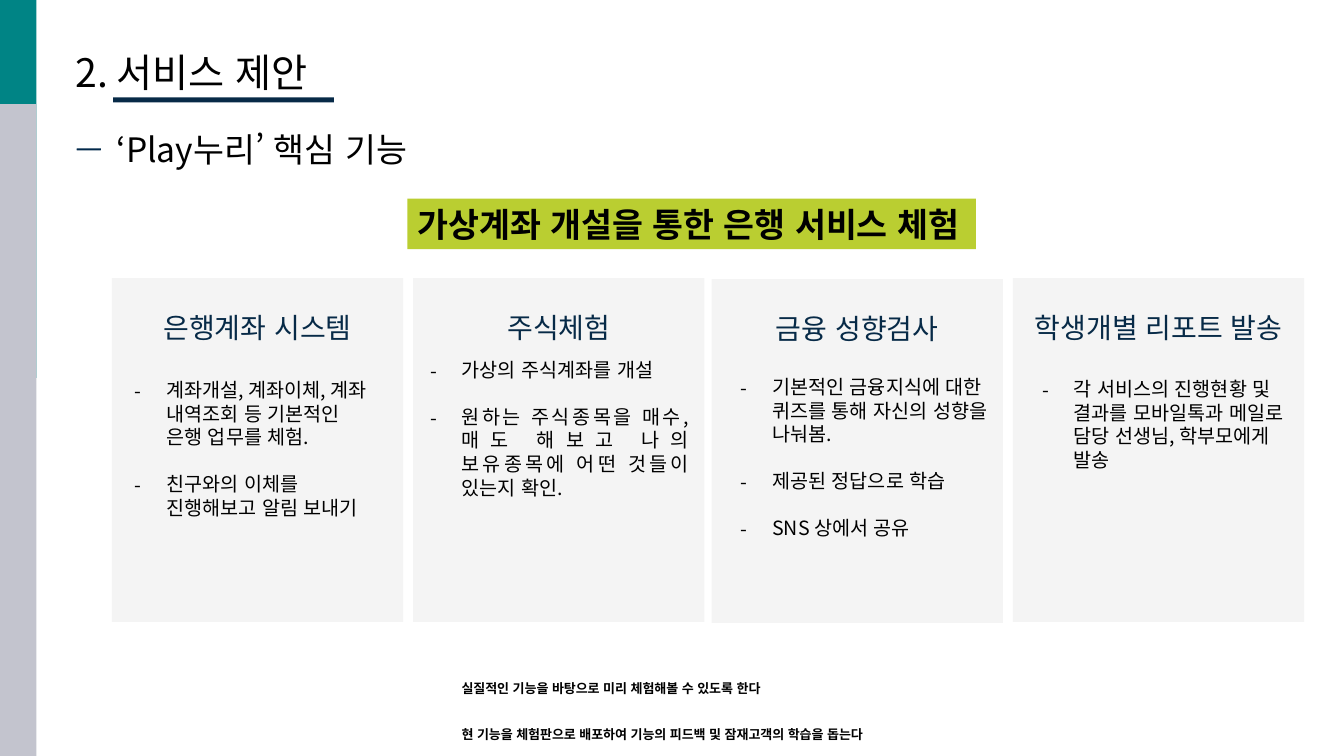
from pptx import Presentation
from pptx.dml.color import RGBColor
from pptx.enum.lang import MSO_LANGUAGE_ID
from pptx.enum.shapes import MSO_SHAPE
from pptx.enum.text import MSO_ANCHOR, MSO_AUTO_SIZE, PP_ALIGN
from pptx.oxml.ns import qn
from pptx.util import Pt
from lxml import etree

RECTANGLE, ROUNDED = MSO_SHAPE.RECTANGLE, MSO_SHAPE.ROUNDED_RECTANGLE
TOP, NO_FIT = MSO_ANCHOR.TOP, MSO_AUTO_SIZE.NONE
LEFT, CENTER, JUSTIFY = PP_ALIGN.LEFT, PP_ALIGN.CENTER, PP_ALIGN.JUSTIFY
KOREAN = MSO_LANGUAGE_ID.KOREAN
NAVY = RGBColor(0x07, 0x2A, 0x47)
DASH_NAVY = RGBColor(0x01, 0x28, 0x4A)
TEAL = RGBColor(0x00, 0x84, 0x85)
SILVER = RGBColor(0xC3, 0xC4, 0xCE)
PALE = RGBColor(0xF4, 0xF4, 0xF4)
LIME = RGBColor(0xBA, 0xCE, 0x31)
BLACK = RGBColor(0, 0, 0)
FONT = "Noto Sans CJK KR"
CARD_WIDTH, CARD_HEIGHT = 208, 245.5
INSET = 7.2

CARDS = [
    ((80, 198.7), "은행계좌 시스템", (9.3, 67.7, 186, 109), LEFT,
     ["계좌개설, 계좌이체, 계좌 내역조회 등 기본적인 은행 업무를 체험.",
      "친구와의 이체를 진행해보고 알림 보내기"]),
    ((295.2, 198.7), "주식체험", (5, 53.3, 199, 126), JUSTIFY,
     ["가상의 주식계좌를 개설",
      "원하는 주식종목을 매수,매도 해보고 나의 보유종목에 어떤 것들이 있는지 확인."]),
    ((508.3, 199.4), "금융 성향검사", (13.7, 64.9, 194.4, 126), LEFT,
     ["기본적인 금융지식에 대한 퀴즈를 통해 자신의 성향을 나눠봄.",
      "제공된 정답으로 학습", "SNS 상에서 공유"]),
    ((723.6, 198.7), "학생개별 리포트 발송", (13.7, 67, 194.4, 94), LEFT,
     ["각 서비스의 진행현황 및 결과를 모바일톡과 메일로 담당 선생님, 학부모에게 발송"]),
]
FOOTNOTES = ["실질적인 기능을 바탕으로 미리 체험해볼 수 있도록 한다",
             "현 기능을 체험판으로 배포하여 기능의 피드백 및 잠재고객의 학습을 돕는다"]


def add_block(slide, box, color, kind=RECTANGLE):
    """Add a flat filled shape without outline or shadow."""
    block = slide.shapes.add_shape(kind, *map(Pt, box))
    block.fill.solid()
    block.fill.fore_color.rgb = color
    block.line.fill.background()
    block.shadow.inherit = False
    return block


def prepare_frame(shape, inset=INSET):
    """Set wrapping, anchor and side insets of a shape's text."""
    frame = shape.text_frame
    frame.word_wrap = True
    frame.auto_size = NO_FIT
    frame.vertical_anchor = TOP
    frame.margin_left = frame.margin_right = Pt(inset)
    frame.margin_top = frame.margin_bottom = Pt(inset / 2)
    return frame


def write_paragraphs(frame, texts, size, color=BLACK, bold=False, align=LEFT, spacing=None):
    """Write one single-run paragraph per text and return the paragraphs."""
    for index, text in enumerate(texts):
        para = frame.paragraphs[0] if index == 0 else frame.add_paragraph()
        para.alignment = align
        para.space_before = Pt(0)
        if spacing:
            para.line_spacing = spacing
        span = para.add_run()
        span.text = text
        span.font.name = FONT
        span.font.size = Pt(size)
        span.font.bold = bold
        span.font.language_id = KOREAN
        span.font.color.rgb = color
        latin = span.font._element.find(qn("a:latin"))
        east_asian = etree.Element(qn("a:ea"), typeface=FONT)
        latin.addnext(east_asian)
    return frame.paragraphs


def add_text(slide, box, texts, size, inset=INSET, **style):
    """Add a text box and return its paragraphs."""
    shape = slide.shapes.add_textbox(*map(Pt, box))
    return write_paragraphs(prepare_frame(shape, inset), texts, size, **style)


def add_sidebar(slide, box):
    """Draw the teal and silver strip at the slide edge."""
    left, top, width, height = box
    add_block(slide, (left, top, width, height / 2), TEAL)
    add_block(slide, (left, top + 74.4, width, height - 74.4), SILVER)


def add_header(slide, box):
    """Place the title, its underline and the dashed subtitle."""
    left, top, width, height = box
    title = slide.shapes.title
    title.left, title.top, title.width, title.height = map(Pt, (left, top, width, 34.6))
    write_paragraphs(prepare_frame(title), ["2. 서비스 제안"], 28, spacing=0.9)
    add_block(slide, (left + 34, top + 35, 157.7, 3.6), NAVY)
    add_block(slide, (left + 8, top + 71.4, 17.3, 1.4), DASH_NAVY, ROUNDED)
    add_text(slide, (left + 29.5, top + 56.9, 267.8, height - 56.9),
             ["‘Play누리’ 핵심 기능"], 24, spacing=0.9)


def add_banner(slide, box):
    """Draw the lime headline band."""
    band = add_block(slide, box, LIME)
    write_paragraphs(prepare_frame(band), ["가상계좌 개설을 통한 은행 서비스 체험"], 24, bold=True)


def add_card(slide, box, heading, bullet_box, align, bullets):
    """Draw one feature card with heading and dash bullets."""
    left, top, width, height = box
    add_block(slide, box, PALE)
    add_text(slide, (left + 10.5, top + 23.4, width - 21, 24), [heading], 20,
             inset=0, color=NAVY, align=CENTER)
    shift_x, shift_y, *size = bullet_box
    paras = add_text(slide, (left + shift_x, top + shift_y, *size), bullets, 14, align=align)
    for index, para in enumerate(paras):
        para.space_before = Pt(16.8 if index else 0)
        properties = para._p.get_or_add_pPr()
        properties.set("marL", str(Pt(22.5)))
        properties.set("indent", str(Pt(-22.5)))
        etree.SubElement(properties, qn("a:buFont"), typeface=FONT)
        etree.SubElement(properties, qn("a:buChar"), char="-")


def add_footnotes(slide, box):
    """Add the two lowered bold closing lines."""
    for para in add_text(slide, box, FOOTNOTES, 16, bold=True, spacing=1.5):
        para.runs[0].font._element.set("baseline", "-25000")


def main():
    """Build and save the deck."""
    deck = Presentation()
    deck.slide_width, deck.slide_height = Pt(960), Pt(540)
    page = deck.slides.add_slide(deck.slide_layouts[5])
    add_sidebar(page, (0, 0, 26, 540))
    add_header(page, (46.8, 34.6, 219.6, 84.3))
    add_banner(page, (291, 142, 406, 36))
    for corner, *content in CARDS:
        add_card(page, (*corner, CARD_WIDTH, CARD_HEIGHT), *content)
    add_footnotes(page, (322.6, 460.8, 480, 43.2))
    deck.save("out.pptx")


if __name__ == "__main__":
    main()
